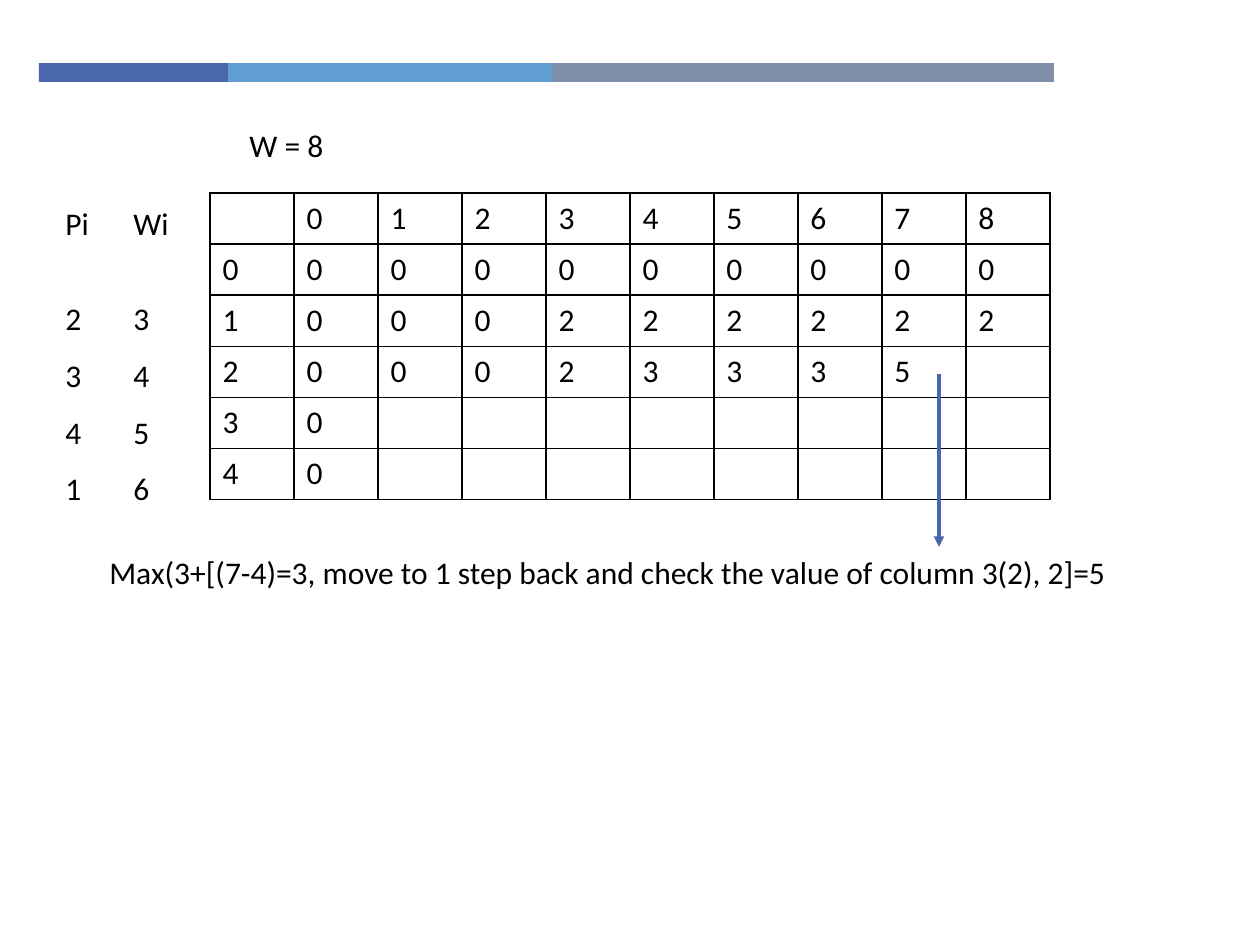
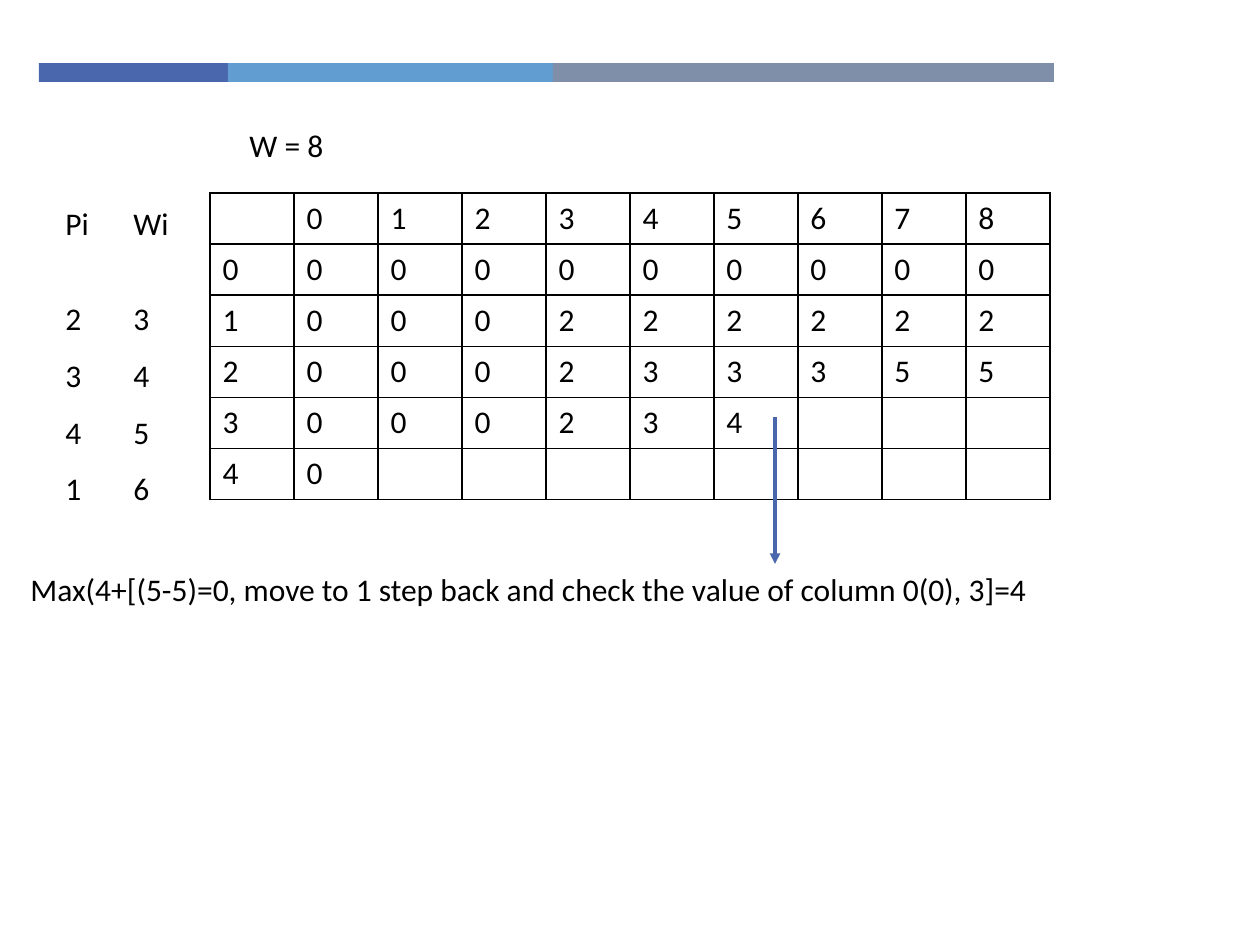
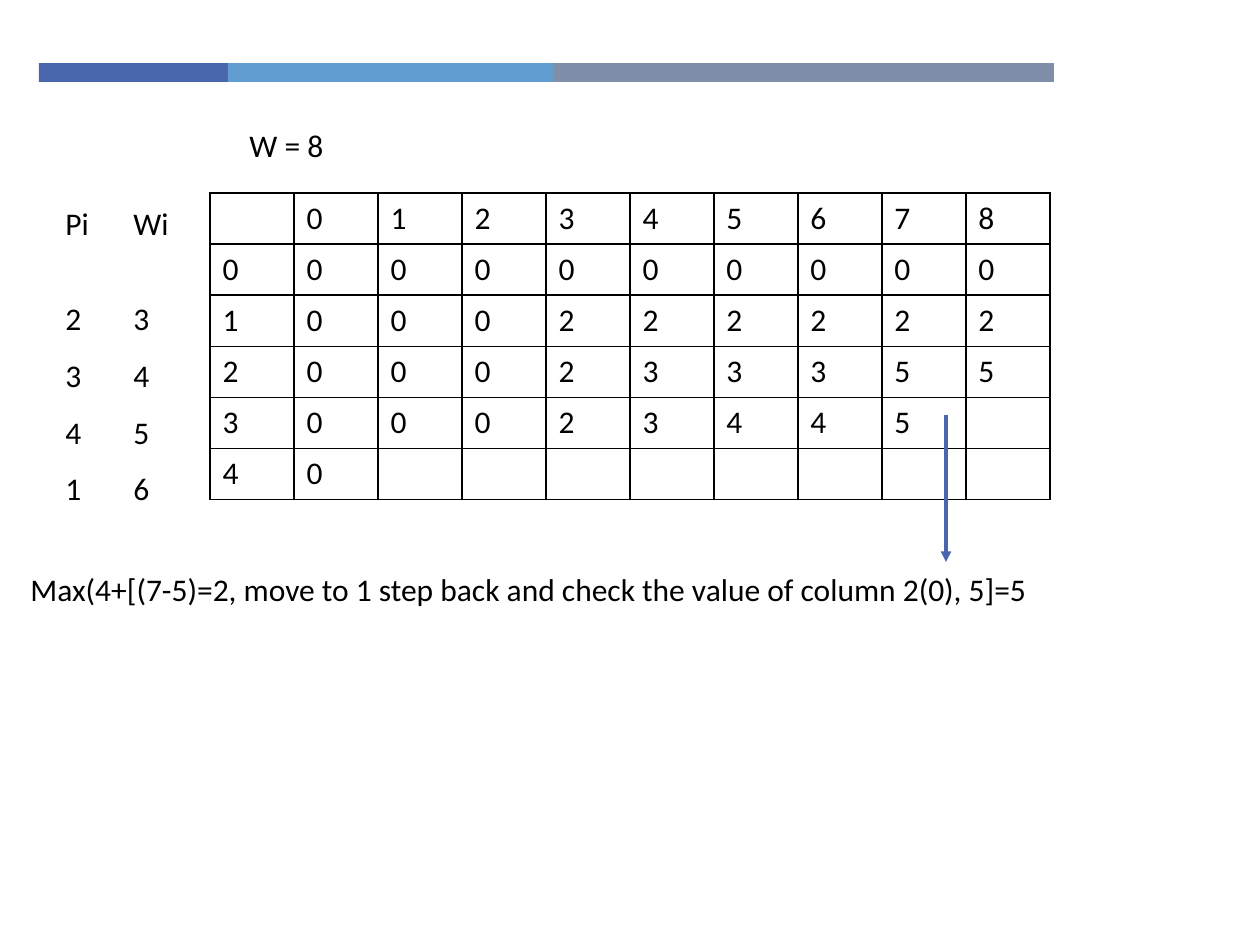
from lxml.etree import SubElement
from pptx import Presentation
from pptx.dml.color import RGBColor
from pptx.enum.shapes import MSO_CONNECTOR, MSO_SHAPE
from pptx.enum.text import MSO_AUTO_SIZE
from pptx.oxml.ns import qn
from pptx.util import Pt

PX = 914400 / 126
FONT, SIZE = "Calibri", Pt(18)
BLACK, BLUE, SKY, SLATE = "000000", "4A66AC", "629DD1", "7F8FA9"
color = RGBColor.from_string


def px(*sizes):
    """Turn pixel lengths into EMU."""
    return [round(size * PX) for size in sizes]


def add_text(slide, box, lines):
    shape = slide.shapes.add_textbox(*px(*box))
    frame = shape.text_frame
    frame.word_wrap = True
    frame.auto_size = MSO_AUTO_SIZE.SHAPE_TO_FIT_TEXT
    frame.text = "\n".join(lines)
    for par in frame.paragraphs:
        par.font.name, par.font.size = FONT, SIZE
        par.font.color.rgb = color(BLACK)
    return frame.paragraphs


# Each step: filled cells by row, caption and its box, arrow x, top and end
steps = [
    (["000000000", "000222222", "00023335", "0", "0"],
     "Max(3+[(7-4)=3, move to 1 step back and check the value of column 3(2), 2]=5",
     (97, 547, 1071, 50), (939, 374, 547)),
    (["000000000", "000222222", "000233355", "000234", "0"],
     "Max(4+[(5-5)=0, move to 1 step back and check the value of column 0(0), 3]=4",
     (18, 564, 1187, 50), (775, 417, 564)),
    (["000000000", "000222222", "000233355", "00023445", "0"],
     "Max(4+[(7-5)=2, move to 1 step back and check the value of column 2(0), 5]=5",
     (18, 564, 1187, 50), (946, 415, 562)),
]
items = [(53, ["Pi", "2", "3", "4", "1"]), (121, ["Wi", "3", "4", "5", "6"])]

deck = Presentation()
deck.slide_width, deck.slide_height = px(1260, 945)
blank = deck.slide_layouts[6]
for holder in list(blank.placeholders):
    blank.shapes.element.remove(holder.element)
slides = [deck.slides.add_slide(blank) for step in steps]

# The band is drawn once and moved to the layout that all slides share
left = 39
for width, tint in [(189, BLUE), (325, SKY), (501, SLATE)]:
    bar = slides[0].shapes.add_shape(MSO_SHAPE.RECTANGLE, *px(left, 63, width, 19))
    bar.shadow.inherit = False
    bar.fill.solid()
    bar.fill.fore_color.rgb = color(tint)
    bar.line.fill.background()
    blank.shapes.element.append(bar.element)
    left += width

for slide, (rows, caption, box, (x, top, end)) in zip(slides, steps):
    # Header row and column count up; the rest holds the best profits so far
    grid = [["", *"012345678"]]
    grid += [[str(i), *row.ljust(9)] for i, row in enumerate(rows)]
    table = slide.shapes.add_table(6, 10, *px(210, 193, 840, 306)).table
    table.first_row = table.horz_banding = False
    for r, row in enumerate(grid):
        for c, value in enumerate(row):
            cell = table.cell(r, c)
            cell.text = value.strip()
            font = cell.text_frame.paragraphs[0].font
            font.name, font.size = FONT, SIZE
            font.color.rgb = color(BLACK)
            props = cell._tc.get_or_add_tcPr()
            for side in "LRTB":
                edge = SubElement(props, qn(f"a:ln{side}"), w=str(Pt(1)))
                fill = SubElement(edge, qn("a:solidFill"))
                SubElement(fill, qn("a:srgbClr"), val=BLACK)
            cell.fill.background()

    for left, lines in items:
        pars = add_text(slide, (left, 198, 89, 312), lines)
        for par in pars[1:]:
            par.line_spacing = 1.5
        pars[1].space_before = Pt(22)
    add_text(slide, (237, 120, 120, 50), ["W = 8"])
    add_text(slide, box, [caption])

    arrow = slide.shapes.add_connector(MSO_CONNECTOR.STRAIGHT, *px(x, top, x, end))
    arrow.line.color.rgb = color(BLUE)
    arrow.line.width = Pt(2)
    props = arrow.element.spPr
    SubElement(props.find(qn("a:ln")), qn("a:tailEnd"), type="triangle")
    SubElement(props, qn("a:effectLst"))

deck.save("out.pptx")
